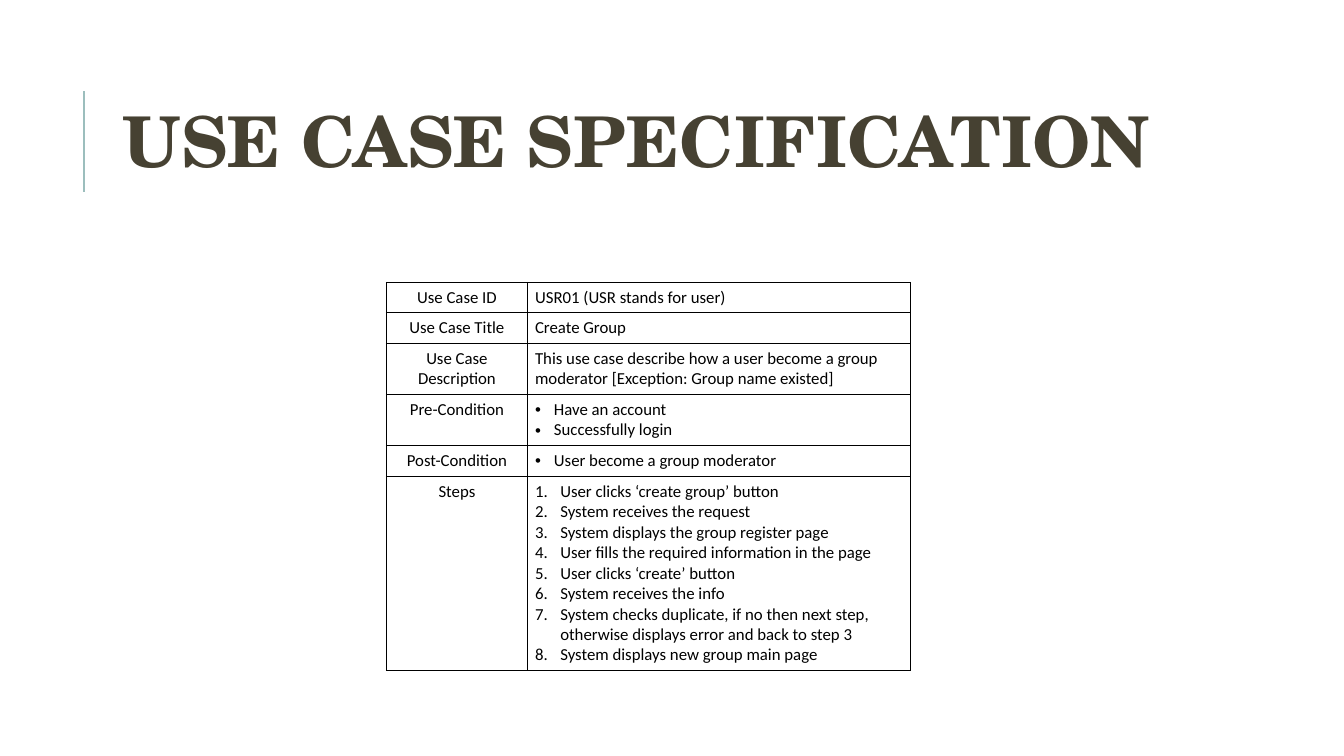
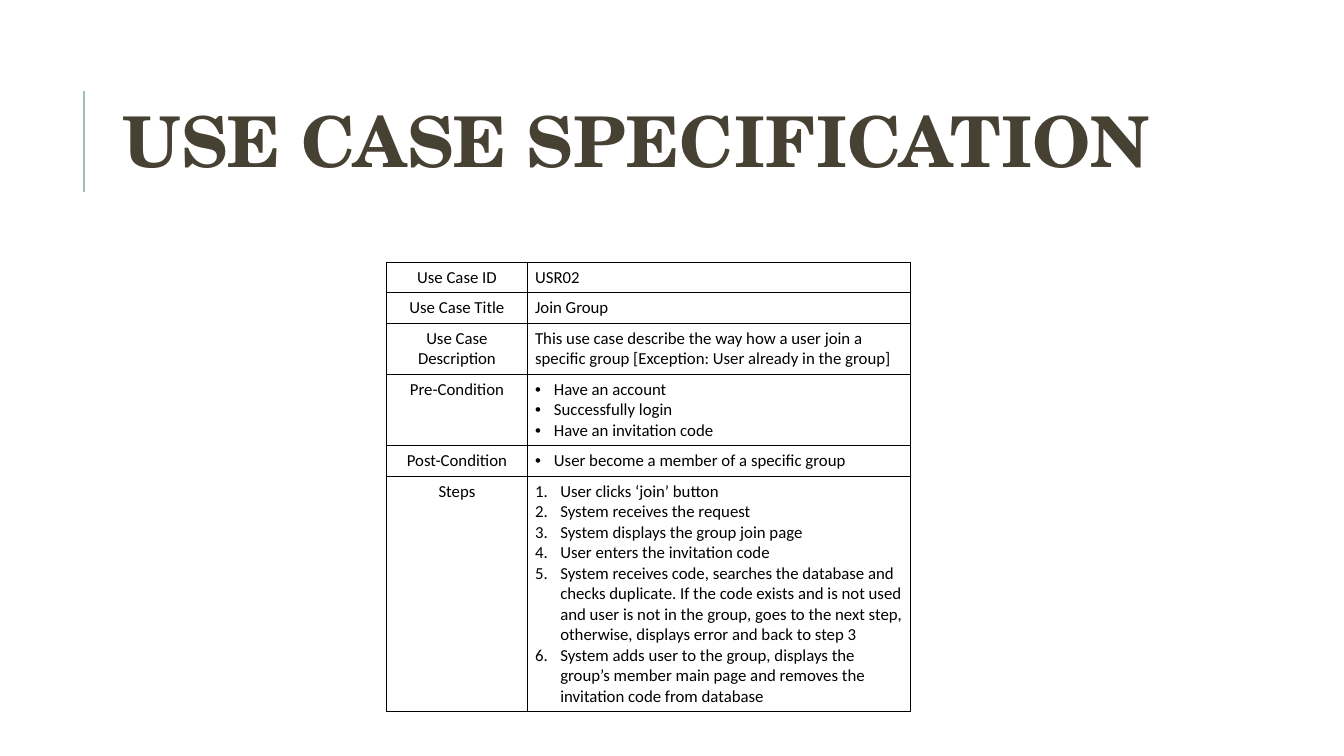
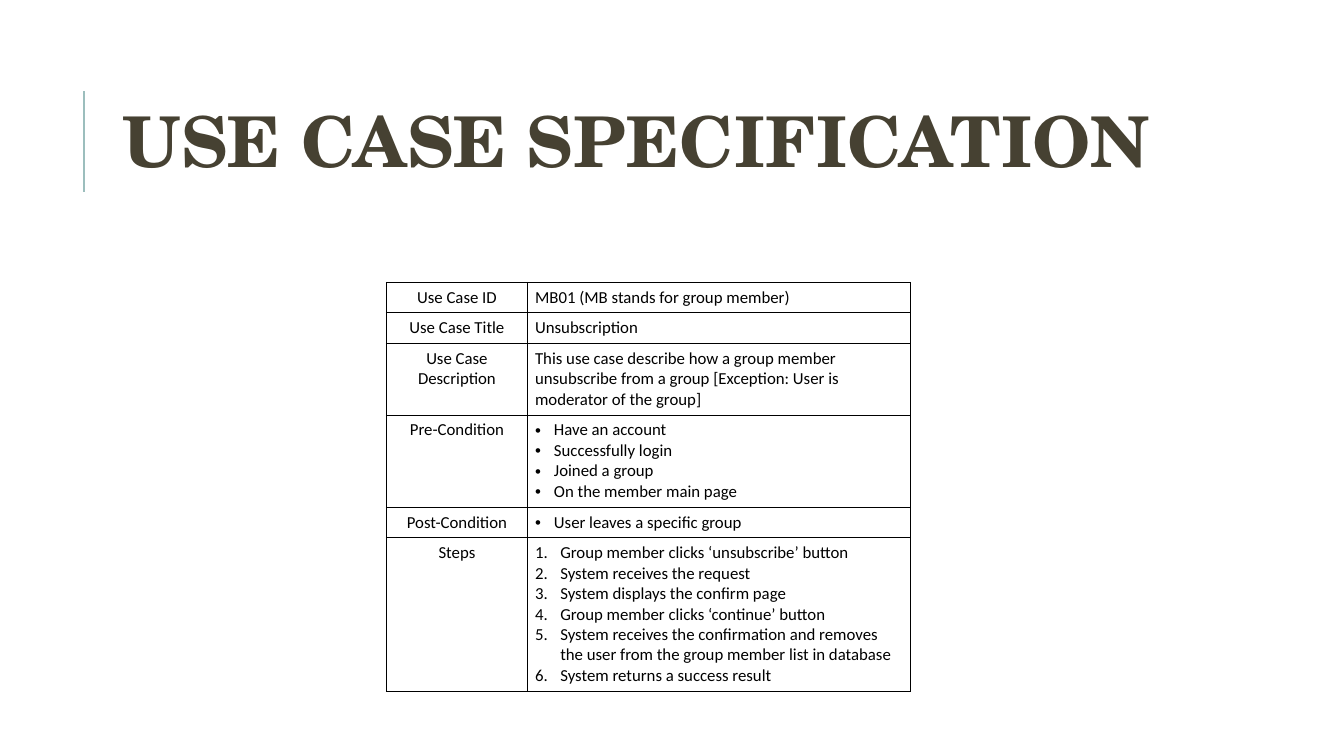
import lxml.etree
import pptx
import pptx.dml.color
import pptx.enum.shapes
import pptx.enum.text
import pptx.oxml.ns
import pptx.util

Pt = pptx.util.Pt
qn = pptx.oxml.ns.qn
ALIGN = pptx.enum.text.PP_ALIGN

# Shared style
BLACK = pptx.dml.color.RGBColor(0x00, 0x00, 0x00)
TITLE_BROWN = pptx.dml.color.RGBColor(0x46, 0x41, 0x32)
RULE_TEAL = pptx.dml.color.RGBColor(0x9C, 0xBE, 0xBD)
TITLE = "USE CASE SPECIFICATION"
TITLE_FONT = "TeX Gyre Schola"
BODY_FONT = "Calibri"
LABELS = ["Use Case ID", "Use Case Title", "Use Case Description",
          "Pre-Condition", "Post-Condition", "Steps"]
# Hanging indent in points for each row that holds a list
LIST_INDENTS = {"Pre-Condition": 13.5, "Post-Condition": 13.5, "Steps": 18}

# One entry per slide: table top in points, then one list of paragraphs per label
USE_CASES = [
    (201.6, [
        ["USR01 (USR stands for user)"],
        ["Create Group"],
        ["This use case describe how a user become a group moderator "
         "[Exception: Group name existed]"],
        ["Have an account", "Successfully login"],
        ["User become a group moderator"],
        ["User clicks ‘create group’ button",
         "System receives the request",
         "System displays the group register page",
         "User fills the required information in the page",
         "User clicks ‘create’ button",
         "System receives the info",
         "System checks duplicate, if no then next step,\n"
         "otherwise displays error and back to step 3",
         "System displays new group main page"],
    ]),
    (187.2, [
        ["USR02"],
        ["Join Group"],
        ["This use case describe the way how a user join a specific group "
         "[Exception: User already in the group]"],
        ["Have an account", "Successfully login", "Have an invitation code"],
        ["User become a member of a specific group"],
        ["User clicks ‘join’ button",
         "System receives the request",
         "System displays the group join page",
         "User enters the invitation code",
         "System receives code, searches the database and checks duplicate. "
         "If the code exists and is not used and user is not in the group, "
         "goes to the next step, otherwise, displays error and back to step 3",
         "System adds user to the group, displays the group’s member main page "
         "and removes the invitation code from database"],
    ]),
    (201.6, [
        ["MB01 (MB stands for group member)"],
        ["Unsubscription"],
        ["This use case describe how a group member unsubscribe from a group "
         "[Exception: User is moderator of the group]"],
        ["Have an account", "Successfully login", "Joined a group",
         "On the member main page"],
        ["User leaves a specific group"],
        ["Group member clicks ‘unsubscribe’ button",
         "System receives the request",
         "System displays the confirm page",
         "Group member clicks ‘continue’ button",
         "System receives the confirmation and removes the user from the "
         "group member list in database",
         "System returns a success result"],
    ]),
]


def fill_cell(cell, texts, alignment, indent=None, numbered=False):
    """Write the paragraphs of a cell, then give it borders and no fill."""
    cell.margin_left = cell.margin_right = Pt(5.4)
    cell.margin_top = cell.margin_bottom = Pt(3.6)
    frame = cell.text_frame
    for index, text in enumerate(texts):
        para = frame.add_paragraph() if index else frame.paragraphs[0]
        para.alignment = alignment
        if indent:
            add_bullet(para, indent, numbered)
        for line_number, line in enumerate(text.split("\n")):
            if line_number:
                para.add_line_break()
            span = para.add_run()
            span.text = line
            span.font.name = BODY_FONT
            span.font.size = Pt(12)
            span.font.color.rgb = BLACK

    properties = cell._tc.get_or_add_tcPr()
    for side in ("a:lnL", "a:lnR", "a:lnT", "a:lnB"):
        border = lxml.etree.SubElement(properties, qn(side), w=str(Pt(0.75)))
        solid = lxml.etree.SubElement(border, qn("a:solidFill"))
        lxml.etree.SubElement(solid, qn("a:srgbClr"), val=str(BLACK))
    cell.fill.background()


def add_bullet(para, indent, numbered):
    """Give a paragraph a black bullet or number with a hanging indent."""
    properties = para._p.get_or_add_pPr()
    properties.set("marL", str(Pt(indent)))
    properties.set("indent", str(-Pt(indent)))
    colour = lxml.etree.SubElement(properties, qn("a:buClr"))
    lxml.etree.SubElement(colour, qn("a:srgbClr"), val=str(BLACK))
    if numbered:
        lxml.etree.SubElement(properties, qn("a:buFont"), typeface="+mj-lt")
        lxml.etree.SubElement(properties, qn("a:buAutoNum"), type="arabicPeriod")
    else:
        lxml.etree.SubElement(properties, qn("a:buFont"), typeface="Arial")
        lxml.etree.SubElement(properties, qn("a:buChar"), char="•")


deck = pptx.Presentation()
deck.slide_width = Pt(960)
deck.slide_height = Pt(540)
title_only = deck.slide_layouts[5]

for table_top, contents in USE_CASES:
    page = deck.slides.add_slide(title_only)

    # Vertical rule beside the title
    rule = page.shapes.add_connector(
        pptx.enum.shapes.MSO_CONNECTOR.STRAIGHT, Pt(60), Pt(136.8), Pt(60), Pt(64.8))
    rule.line.color.rgb = RULE_TEAL
    rule.line.width = Pt(1.5)
    lxml.etree.SubElement(rule.element.spPr, qn("a:effectLst"))

    # Title
    title = page.shapes.title
    title.left, title.top, title.width, title.height = Pt(80.64), Pt(46), Pt(765.4), Pt(118)
    frame = title.text_frame
    frame.word_wrap = True
    frame.auto_size = pptx.enum.text.MSO_AUTO_SIZE.NONE
    frame.vertical_anchor = pptx.enum.text.MSO_ANCHOR.MIDDLE
    para = frame.paragraphs[0]
    para.alignment = ALIGN.LEFT
    para.line_spacing = 0.8
    span = para.add_run()
    span.text = TITLE
    span.font.name = TITLE_FONT
    span.font.size = Pt(50)
    span.font.bold = True
    span.font.color.rgb = TITLE_BROWN

    # Use case table: rows grow to fit their text
    table = page.shapes.add_table(
        len(LABELS), 2, Pt(276), Pt(table_top), Pt(374.4), Pt(12 * len(LABELS))).table
    table.first_row = False
    table.horz_banding = False
    table.columns[0].width = Pt(100.8)
    table.columns[1].width = Pt(273.6)
    for row, (label, texts) in enumerate(zip(LABELS, contents)):
        fill_cell(table.cell(row, 0), [label], ALIGN.CENTER)
        fill_cell(table.cell(row, 1), texts, ALIGN.LEFT,
                  LIST_INDENTS.get(label), numbered=label == "Steps")

deck.save("out.pptx")
